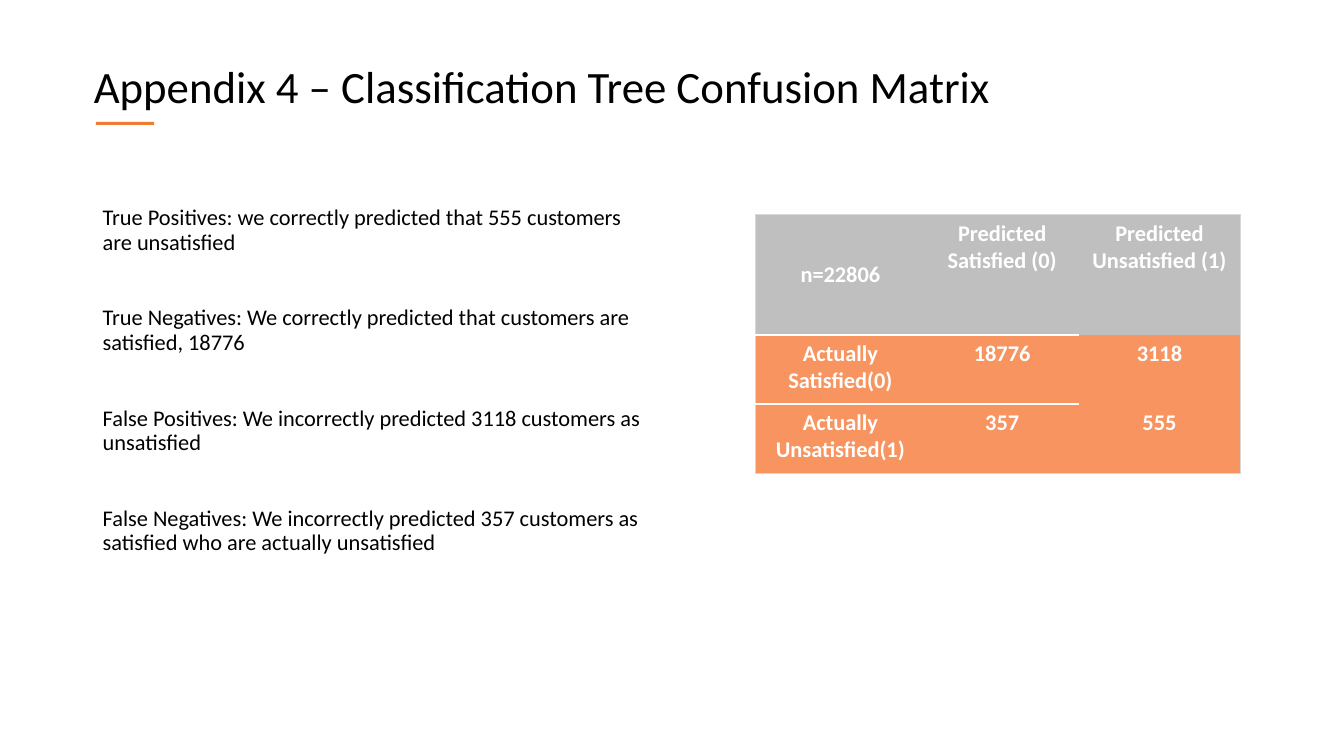
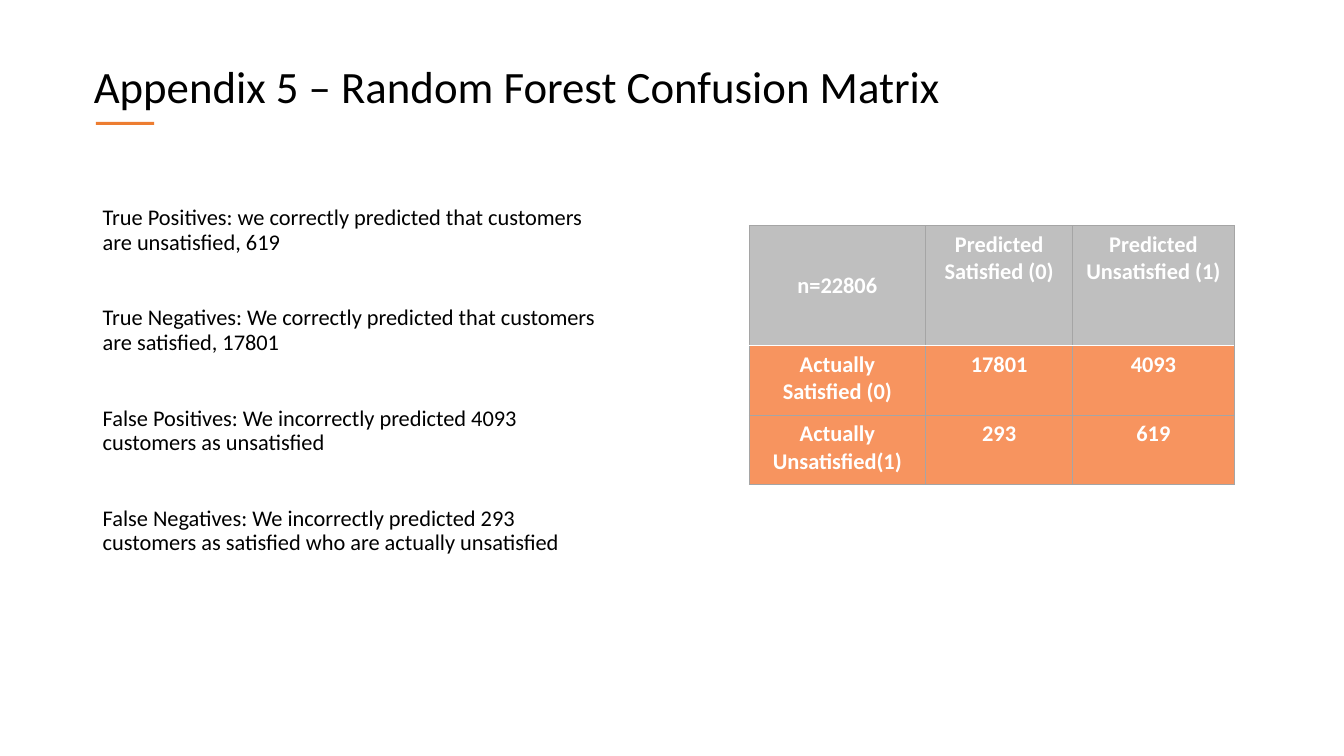
from dataclasses import dataclass

from lxml import etree
from pptx import Presentation
from pptx.dml.color import RGBColor
from pptx.enum.shapes import MSO_SHAPE
from pptx.enum.text import MSO_ANCHOR, PP_ALIGN
from pptx.oxml.ns import qn
from pptx.util import Inches, Pt

RECTANGLE = MSO_SHAPE.RECTANGLE
MIDDLE = MSO_ANCHOR.MIDDLE
CENTER = PP_ALIGN.CENTER

FONT = "Calibri"
COLORS = {
    "text": "000000",
    "white": "FFFFFF",
    "accent": "ED7D31",
    "header": "BFBFBF",
    "body": "F7945F",
    "light_line": "D8D8D8",
    "dark_line": "A5A5A5",
}
PLAIN_TABLE_STYLE = "{2D5ABB26-0587-4C30-8999-92F81FD0307C}"
ROW_HEIGHTS = (1.19, 0.69, 0.69)
EDGES = ("L", "R", "T", "B")
HAIRLINE = 0.5


@dataclass(frozen=True)
class Matrix:
    """Confusion matrix: contents, place (inches) and ruling."""
    rows: tuple[tuple[str, ...], ...]
    left: float
    top: float
    column_widths: tuple[float, ...]
    line: str
    inner_lines: bool
    divider_points: float
    divider_columns: int


@dataclass(frozen=True)
class AppendixSlide:
    """Title, findings and matrix of one appendix slide."""
    title: str
    findings: tuple[str, ...]
    text_width: float
    matrix: Matrix


HEADER = ("n=22806", "Predicted Satisfied (0)", "Predicted Unsatisfied (1)")

APPENDICES = (
    AppendixSlide(
        "Appendix 4 – Classification Tree Confusion Matrix",
        (
            "True Positives: we correctly predicted that 555 customers are unsatisfied",
            "True Negatives: We correctly predicted that customers are satisfied, 18776",
            "False Positives: We incorrectly predicted 3118 customers as unsatisfied",
            "False Negatives: We incorrectly predicted 357 customers as satisfied "
            "who are actually unsatisfied",
        ),
        5.58,
        Matrix(
            (
                HEADER,
                ("Actually Satisfied(0)", "18776", "3118"),
                ("Actually Unsatisfied(1)", "357", "555"),
            ),
            7.49, 2.13, (1.69, 1.52, 1.6), "light_line", False, 1.5, 2,
        ),
    ),
    AppendixSlide(
        "Appendix 5 – Random Forest Confusion Matrix",
        (
            "True Positives: we correctly predicted that customers are unsatisfied, 619",
            "True Negatives: We correctly predicted that customers are satisfied, 17801",
            "False Positives: We incorrectly predicted 4093 customers as unsatisfied",
            "False Negatives: We incorrectly predicted 293 customers as satisfied "
            "who are actually unsatisfied",
        ),
        5.15,
        Matrix(
            (
                HEADER,
                ("Actually Satisfied (0)", "17801", "4093"),
                ("Actually Unsatisfied(1)", "293", "619"),
            ),
            7.43, 2.24, (1.75, 1.46, 1.6), "dark_line", True, 1, 3,
        ),
    ),
)


def color(name: str) -> RGBColor:
    """Look up a named colour."""
    return RGBColor.from_string(COLORS[name])


def style_paragraph(paragraph, size: float, color_name: str, bold: bool = False) -> None:
    """Set the font of a whole paragraph."""
    paragraph.font.name = FONT
    paragraph.font.size = Pt(size)
    paragraph.font.bold = bold
    paragraph.font.color.rgb = color(color_name)


def add_title(slide, text: str) -> None:
    """Add the title and the short accent bar under it."""
    bar = slide.shapes.add_shape(
        RECTANGLE, Inches(0.95), Inches(1.21), Inches(0.58), Inches(0.03))
    bar.shadow.inherit = False
    bar.fill.solid()
    bar.fill.fore_color.rgb = color("accent")
    bar.line.fill.background()

    box = slide.shapes.add_textbox(Inches(0.93), Inches(0.58), Inches(9.25), Inches(0.54))
    frame = box.text_frame
    frame.word_wrap = True
    frame.vertical_anchor = MIDDLE
    frame.margin_left = frame.margin_right = frame.margin_top = frame.margin_bottom = 0
    frame.text = text
    style_paragraph(frame.paragraphs[0], 32, "text")


def add_findings(slide, findings: tuple[str, ...], width: float) -> None:
    """Add the spaced findings on the left."""
    box = slide.shapes.add_textbox(Inches(0.92), Inches(2), Inches(width), Inches(3.96))
    frame = box.text_frame
    frame.word_wrap = True
    frame.text = "\n".join(findings)
    for paragraph in frame.paragraphs:
        style_paragraph(paragraph, 16, "text")
        paragraph.line_spacing = 0.9
        paragraph.space_after = Pt(37)


def cell_borders(matrix: Matrix, row: int, column: int) -> dict[str, tuple[str, float]]:
    """Work out the ruled edges of a cell as edge: (colour, points)."""
    outer = {
        "L": column == 0,
        "R": column == len(matrix.column_widths) - 1,
        "T": row == 0,
        "B": row == len(matrix.rows) - 1,
    }
    borders = {
        edge: (matrix.line, HAIRLINE)
        for edge in EDGES if outer[edge] or matrix.inner_lines
    }
    if column < matrix.divider_columns and row < 2:
        borders["B" if row == 0 else "T"] = ("white", matrix.divider_points)
    return borders


def draw_borders(cell, borders: dict[str, tuple[str, float]]) -> None:
    """Write the edges ahead of the cell's fill, in schema order."""
    properties = cell._tc.get_or_add_tcPr()
    ruled = [edge for edge in EDGES if edge in borders]
    for position, edge in enumerate(ruled):
        color_name, points = borders[edge]
        line = etree.Element(qn(f"a:ln{edge}"), w=str(Pt(points)))
        fill = etree.SubElement(line, qn("a:solidFill"))
        etree.SubElement(fill, qn("a:srgbClr"), val=COLORS[color_name])
        properties.insert(position, line)


def add_matrix(slide, matrix: Matrix) -> None:
    """Add the confusion matrix as a table."""
    table = slide.shapes.add_table(
        len(matrix.rows), len(matrix.column_widths),
        Inches(matrix.left), Inches(matrix.top),
        Inches(sum(matrix.column_widths)), Inches(sum(ROW_HEIGHTS))).table
    table.first_row = table.horz_banding = False
    table._tbl.tblPr.find(qn("a:tableStyleId")).text = PLAIN_TABLE_STYLE
    for column, width in zip(table.columns, matrix.column_widths):
        column.width = Inches(width)
    for row, height in zip(table.rows, ROW_HEIGHTS):
        row.height = Inches(height)

    for row_index, texts in enumerate(matrix.rows):
        for column_index, text in enumerate(texts):
            cell = table.cell(row_index, column_index)
            cell.text = text
            cell.fill.solid()
            cell.fill.fore_color.rgb = color("header" if row_index == 0 else "body")
            paragraph = cell.text_frame.paragraphs[0]
            paragraph.alignment = CENTER
            style_paragraph(paragraph, 16, "white", bold=True)
            draw_borders(cell, cell_borders(matrix, row_index, column_index))
    table.cell(0, 0).text_frame.paragraphs[0].line_spacing = 2.5


def main() -> None:
    """Build and save the presentation."""
    presentation = Presentation()
    presentation.slide_width = Inches(13.33)
    presentation.slide_height = Inches(7.5)
    blank_layout = presentation.slide_layouts[6]
    for appendix in APPENDICES:
        slide = presentation.slides.add_slide(blank_layout)
        add_findings(slide, appendix.findings, appendix.text_width)
        add_matrix(slide, appendix.matrix)
        add_title(slide, appendix.title)
    presentation.save("out.pptx")


main()
